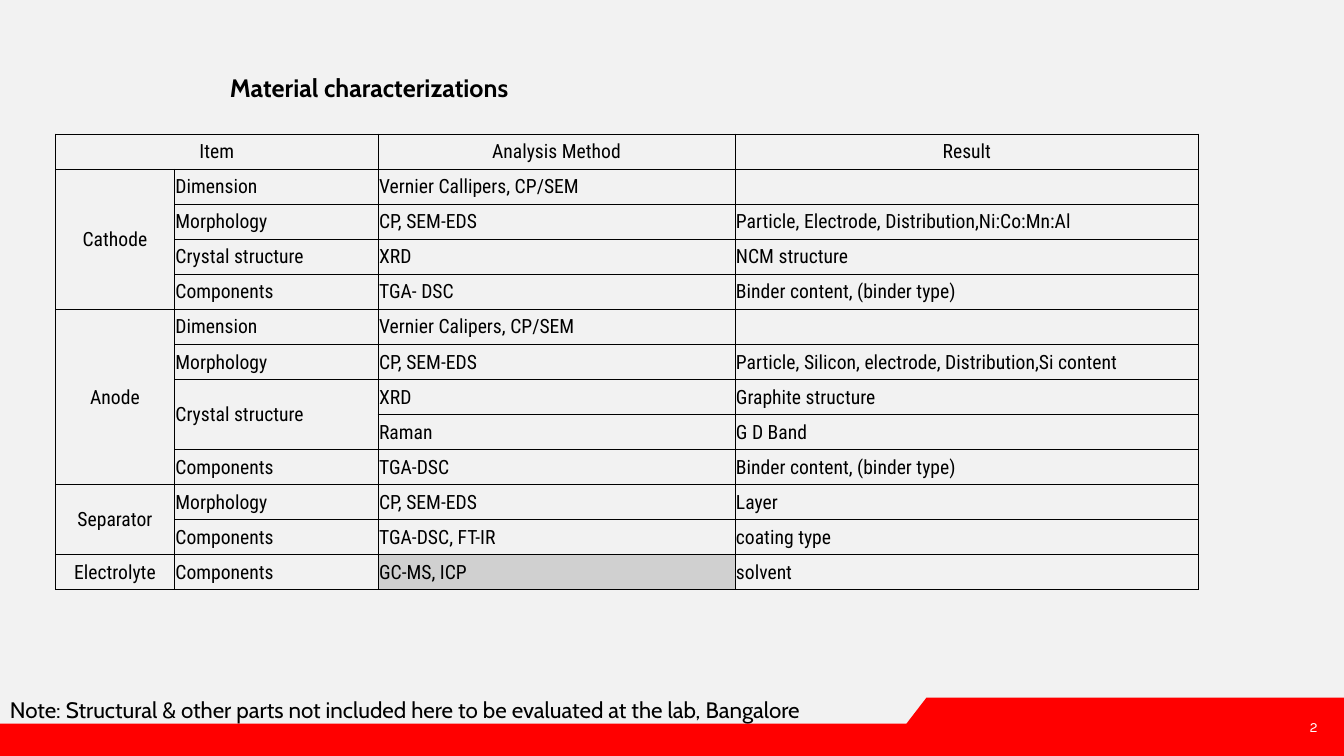
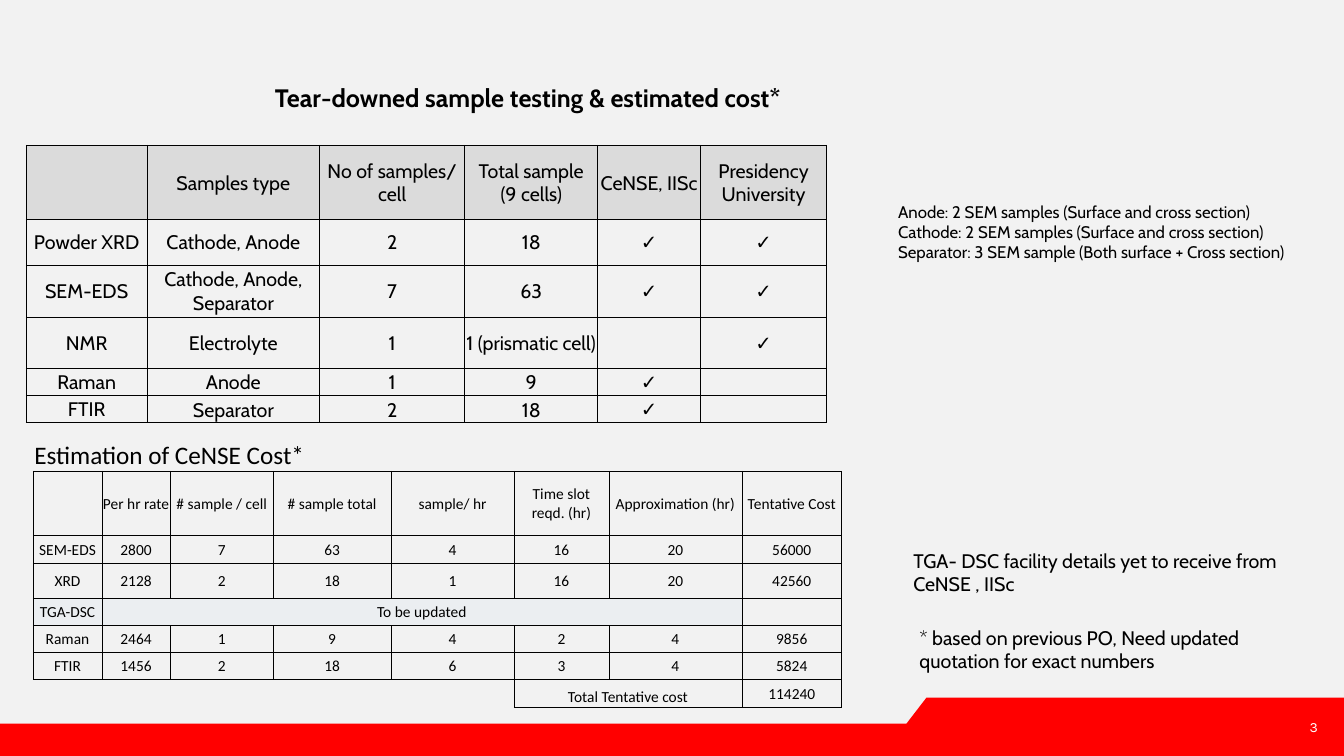
from dataclasses import dataclass, field

from lxml.etree import SubElement
from pptx import Presentation
from pptx.dml.color import RGBColor as RGB
from pptx.enum.text import MSO_ANCHOR as ANCHOR, MSO_AUTO_SIZE as AUTO, PP_ALIGN as ALIGN
from pptx.oxml.ns import qn
from pptx.util import Inches, Pt


@dataclass(frozen=True)
class Theme:
    back: str = "F2F2F2"
    band: str = "FF0000"
    ink: str = "000000"
    white: str = "FFFFFF"
    header: str = "DBDBDB"
    highlight: str = "D0D0D0"
    pending: str = "EBEEF1"
    body_font: str = "Cabin"
    grid_font: str = "Roboto Condensed"
    cost_font: str = "Calibri"
    number_font: str = "Karla"
    title: int = 18
    note: int = 16
    text: int = 14
    small: int = 12
    cost: int = 11
    number: int = 10
    rule: float = 0.5


T = Theme()
Cell = tuple[int, int]
Box = tuple[float, float, float, float]


@dataclass
class Grid:
    at: tuple[float, float]
    cols: list[float]
    rows: list[float]
    data: list[list[str]]
    font: str = T.body_font
    size: int = T.text
    merges: list[tuple[int, int, int, int]] = field(default_factory=list)
    fills: dict[Cell, str] = field(default_factory=dict)
    left: set[Cell] = field(default_factory=set)
    bottom: set[Cell] = field(default_factory=set)
    sides: dict[Cell, str] = field(default_factory=dict)
    sizes: dict[Cell, int] = field(default_factory=dict)


@dataclass
class Note:
    at: Box
    text: str
    size: int = T.text
    anchor: ANCHOR = ANCHOR.MIDDLE
    align: ALIGN = ALIGN.LEFT
    font: str = T.body_font
    color: str = T.ink
    bold: bool = False
    inset: bool = True
    wrap: bool = True


def apply(obj, values: dict) -> None:
    for name, value in values.items():
        setattr(obj, name, value)


def write(tf, text: str, size: int, font: str, align, color: str = T.ink,
          bold: bool = False) -> None:
    """Write one paragraph per line of text."""
    for i, line in enumerate(text.split("\n")):
        p = tf.add_paragraph() if i else tf.paragraphs[0]
        p.alignment = align
        if not line:
            SubElement(p._p, qn("a:endParaRPr"), sz=str(size * 100))
            continue
        r = p.add_run()
        r.text = line
        apply(r.font, {"size": Pt(size), "name": font, "bold": bold})
        r.font.color.rgb = RGB.from_string(color)


def fill_note(sp, note: Note) -> None:
    tf = sp.text_frame
    apply(tf, {"word_wrap": note.wrap, "auto_size": AUTO.NONE,
               "vertical_anchor": note.anchor})
    if not note.inset:
        apply(tf, dict.fromkeys(
            ("margin_left", "margin_top", "margin_right", "margin_bottom"), 0))
    write(tf, note.text, note.size, note.font, note.align, note.color, note.bold)


def add_note(s, note: Note) -> None:
    fill_note(s.shapes.add_textbox(*map(Inches, note.at)), note)


def add_title(s, note: Note) -> None:
    sp = s.shapes.title
    apply(sp, dict(zip(("left", "top", "width", "height"), map(Inches, note.at))))
    fill_note(sp, note)


def add_footer(s, number: int) -> None:
    points = [(9.19, 6.92), (13.33, 6.92), (13.33, 7.5), (0, 7.5), (0, 7.18), (8.99, 7.18)]
    outline = [(Inches(x), Inches(y)) for x, y in points]
    builder = s.shapes.build_freeform(*outline[0])
    builder.add_line_segments(outline[1:], close=True)
    band = builder.convert_to_shape()
    band.shadow.inherit = False
    band.fill.solid()
    band.fill.fore_color.rgb = RGB.from_string(T.band)
    band.line.fill.background()
    add_note(s, Note((12.65, 7.13, 0.42, 0.17), str(number), T.number, ANCHOR.BOTTOM,
                     ALIGN.RIGHT, T.number_font, T.white, inset=False, wrap=False))


def set_borders(cell, sides: str) -> None:
    """Rule the named sides and clear the others."""
    tc_pr = cell._tc.get_or_add_tcPr()
    for side in "LRTB":
        ln = SubElement(tc_pr, qn(f"a:ln{side}"), w=str(Pt(T.rule)))
        if side in sides:
            SubElement(SubElement(ln, qn("a:solidFill")), qn("a:srgbClr"), val=T.ink)
        else:
            SubElement(ln, qn("a:noFill"))


def add_grid(s, g: Grid) -> None:
    box = map(Inches, (*g.at, sum(g.cols), sum(g.rows)))
    table = s.shapes.add_table(len(g.rows), len(g.cols), *box).table
    apply(table, {"first_row": False, "horz_banding": False})
    for col, width in zip(table.columns, g.cols):
        col.width = Inches(width)
    for row, height in zip(table.rows, g.rows):
        row.height = Inches(height)
    for r, c, n_rows, n_cols in g.merges:
        table.cell(r, c).merge(table.cell(r + n_rows - 1, c + n_cols - 1))
    for r, line in enumerate(g.data):
        for c, text in enumerate(line):
            key, cell = (r, c), table.cell(r, c)
            set_borders(cell, g.sides.get(key, "LRTB"))
            if key in g.fills:
                cell.fill.solid()
                cell.fill.fore_color.rgb = RGB.from_string(g.fills[key])
            else:
                cell.fill.background()
            edge = Inches(0.01)
            apply(cell, {"margin_left": edge, "margin_right": edge,
                         "margin_top": edge, "margin_bottom": 0,
                         "vertical_anchor": ANCHOR.BOTTOM if key in g.bottom
                         else ANCHOR.MIDDLE})
            write(cell.text_frame, text, g.sizes.get(key, g.size), g.font,
                  ALIGN.LEFT if key in g.left else ALIGN.CENTER)


# Material characterization table
MATERIALS = Grid(
    (0.55, 1.33), [1.18, 2.02, 3.54, 4.6], [4.52 / 13] * 13,
    [
        ["Item", "", "Analysis Method", "Result"],
        ["Cathode", "Dimension", "Vernier Callipers, CP/SEM", ""],
        ["", "Morphology", "CP, SEM-EDS", "Particle, Electrode, Distribution,Ni:Co:Mn:Al"],
        ["", "Crystal structure", "XRD", "NCM structure"],
        ["", "Components", "TGA- DSC", "Binder content, (binder type)"],
        ["Anode", "Dimension", "Vernier Calipers, CP/SEM", ""],
        ["", "Morphology", "CP, SEM-EDS",
         "Particle, Silicon, electrode, Distribution,Si content"],
        ["", "Crystal structure", "XRD", "Graphite structure"],
        ["", "", "Raman", "G D Band"],
        ["", "Components", "TGA-DSC", "Binder content, (binder type)"],
        ["Separator", "Morphology", "CP, SEM-EDS", "Layer"],
        ["", "Components", "TGA-DSC, FT-IR", "coating type"],
        ["Electrolyte", "Components", "GC-MS, ICP", "solvent"],
    ],
    font=T.grid_font,
    merges=[(0, 0, 1, 2), (1, 0, 4, 1), (5, 0, 5, 1), (7, 1, 2, 1), (10, 0, 2, 1)],
    fills={(12, 2): T.highlight},
    left={(r, c) for r in range(1, 13) for c in range(1, 4)},
)

# Sample count table
SAMPLES = Grid(
    (0.26, 1.44), [1.2, 1.71, 1.44, 1.32, 1.02, 1.25], [0.74, 0.45, 0.52, 0.5, 0.27, 0.27],
    [
        ["", "Samples type", "No of samples/ cell", "Total sample\n(9 cells)",
         "CeNSE, IISc", "Presidency University"],
        ["Powder XRD", "Cathode, Anode", "2", "18", "✓", "✓"],
        ["SEM-EDS", "Cathode, Anode, Separator", "7", "63", "✓", "✓"],
        ["NMR", "Electrolyte", "1", "1 (prismatic cell)", "", "✓"],
        ["Raman", "Anode", "1", "9", "✓", ""],
        ["FTIR", "Separator", "2", "18", "✓", ""],
    ],
    fills={(0, c): T.header for c in range(6)},
    bottom={(5, c) for c in (1, 2, 3)},
)

# Cost table
COSTS = Grid(
    (0.33, 4.36), [0.68, 0.68, 1.02, 1.17, 1.22, 0.94, 1.32, 0.99],
    [0.27, 0.64, 0.27, 0.35, 0.27, 0.27, 0.27, 0.27],
    [
        ["Estimation of CeNSE Cost*"] + [""] * 7,
        ["", "Per hr rate", "# sample / cell", "# sample total", "sample/ hr",
         "Time slot reqd. (hr)", "Approximation (hr)", "Tentative Cost"],
        ["SEM-EDS", "2800", "7", "63", "4", "16", "20", "56000"],
        ["XRD", "2128", "2", "18", "1", "16", "20", "42560"],
        ["TGA-DSC", "To be updated"] + [""] * 6,
        ["Raman", "2464", "1", "9", "4", "2", "4", "9856"],
        ["FTIR", "1456", "2", "18", "6", "3", "4", "5824"],
        [""] * 5 + ["Total Tentative cost", "", "114240"],
    ],
    font=T.cost_font,
    size=T.cost,
    merges=[(0, 0, 1, 8), (4, 1, 1, 6), (7, 5, 1, 2)],
    fills={(4, c): T.pending for c in range(7)},
    left={(0, 0)},
    bottom={(0, 0), (7, 5)},
    sides={(0, c): "B" for c in range(8)} | {(7, c): "T" for c in range(4)} | {(7, 4): "TR"},
    sizes={(0, 0): T.title},
)


@dataclass
class Page:
    title: Note
    grids: list[Grid]
    notes: list[Note]


PAGES = [
    Page(
        Note((2.18, 0.67, 5.89, 0.39), "Material characterizations", T.title, bold=True),
        [MATERIALS],
        [Note((0, 6.79, 8.66, 0.49), "Note: Structural & other parts not included here "
              "to be evaluated at the lab, Bangalore", T.note)],
    ),
    Page(
        Note((1.8, 0.61, 6.87, 0.71), "Tear-downed sample testing & estimated cost*",
             T.title, align=ALIGN.CENTER, bold=True),
        [SAMPLES, COSTS],
        [
            Note((8.81, 1.95, 4.27, 0.71),
                 "Anode: 2 SEM samples (Surface and cross section)\n"
                 "Cathode: 2 SEM samples (Surface and cross section)\n"
                 "Separator: 3 SEM sample (Both surface + Cross section)",
                 T.small, ANCHOR.TOP),
            Note((9.02, 6.21, 3.71, 0.46),
                 "* based on previous PO, Need updated quotation for exact numbers"),
            Note((8.96, 5.21, 3.97, 0.93),
                 "TGA- DSC facility details yet to receive from CeNSE , IISc"),
        ],
    ),
]


def main() -> None:
    prs = Presentation()
    apply(prs, {"slide_width": Inches(13.33), "slide_height": Inches(7.5)})
    back = prs.slide_master.background.fill
    back.solid()
    back.fore_color.rgb = RGB.from_string(T.back)
    for number, page in enumerate(PAGES, start=2):
        s = prs.slides.add_slide(prs.slide_layouts[5])
        add_footer(s, number)
        add_title(s, page.title)
        for grid in page.grids:
            add_grid(s, grid)
        for note in page.notes:
            add_note(s, note)
    prs.save("out.pptx")


if __name__ == "__main__":
    main()
